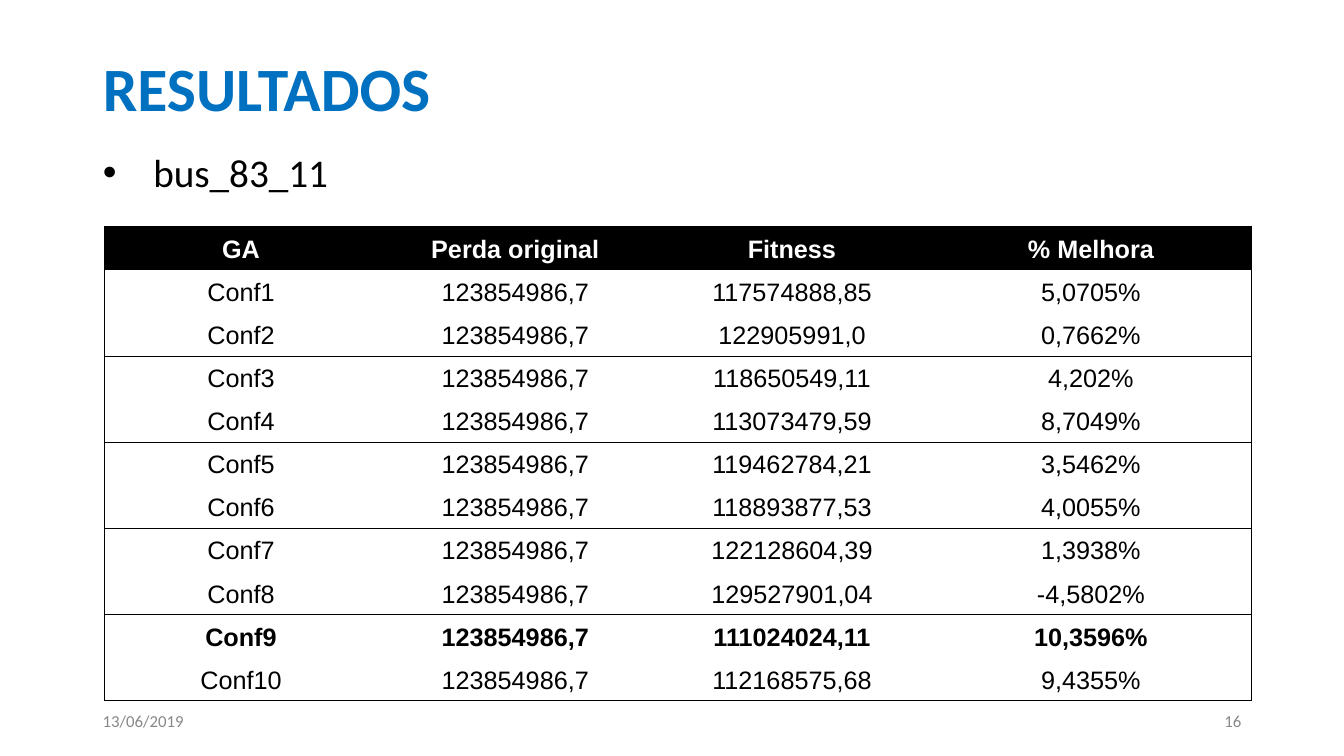
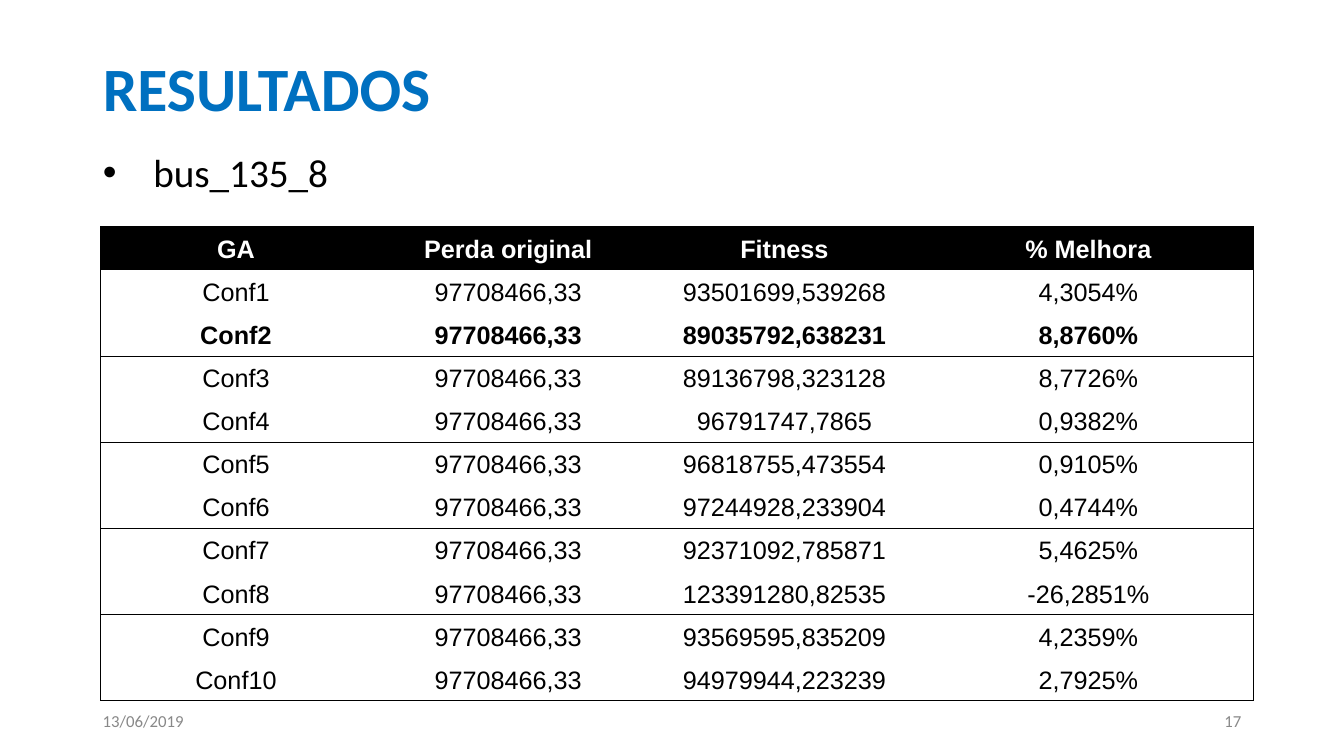
from lxml import etree
from pptx import Presentation, util as u
from pptx.dml.color import RGBColor
from pptx.enum import text as t
from pptx.oxml import ns

COLORS = {"title": "0070C0", "ink": "000000", "header_text": "FFFFFF", "footer": "888888"}
HEADINGS = ("GA", "Perda original", "Fitness", "% Melhora")
DATE = "13/06/2019"
TITLE_BOX = (0.92, 0.3, 11.5, 1.12)
SYSTEM_BOX = (0.92, 1.42, 11.5, 0.83)
DATE_BOX = (0.92, 6.95, 3.58, 0.4)
NUMBER_BOX = (8.83, 6.95, 3.58, 0.4)
TABLE_TOP, TABLE_HEIGHT = 2.25, 4.7

RESULTS = [
    {
        "number": 16, "system": "bus_83_11", "loss": "123854986,7", "best": 9,
        "left": 1.04, "widths": (2.7, 2.74, 2.75, 3.18),
        "runs": [
            ("117574888,85", "5,0705%"), ("122905991,0", "0,7662%"),
            ("118650549,11", "4,202%"), ("113073479,59", "8,7049%"),
            ("119462784,21", "3,5462%"), ("118893877,53", "4,0055%"),
            ("122128604,39", "1,3938%"), ("129527901,04", "-4,5802%"),
            ("111024024,11", "10,3596%"), ("112168575,68", "9,4355%"),
        ],
    },
    {
        "number": 17, "system": "bus_135_8", "loss": "97708466,33", "best": 2,
        "left": 1, "widths": (2.68, 2.72, 2.76, 3.27),
        "runs": [
            ("93501699,539268", "4,3054%"), ("89035792,638231", "8,8760%"),
            ("89136798,323128", "8,7726%"), ("96791747,7865", "0,9382%"),
            ("96818755,473554", "0,9105%"), ("97244928,233904", "0,4744%"),
            ("92371092,785871", "5,4625%"), ("123391280,82535", "-26,2851%"),
            ("93569595,835209", "4,2359%"), ("94979944,223239", "2,7925%"),
        ],
    },
]


def write(frame, content, size=18, font="Calibri", color="ink", bold=False,
          align=t.PP_ALIGN.LEFT, spacing=1.0):
    """Fill a text frame with one formatted paragraph and return it."""
    paragraph = frame.paragraphs[0]
    paragraph.alignment = align
    paragraph.line_spacing = spacing
    paragraph.space_before = u.Pt(0)
    run = paragraph.add_run()
    run.text = content
    run.font.size = u.Pt(size)
    run.font.name = font
    run.font.bold = bold
    run.font.color.rgb = RGBColor.from_string(COLORS[color])
    return paragraph


def place(shape, box, anchor=t.MSO_ANCHOR.MIDDLE):
    """Move a text shape into a box and return its frame."""
    shape.left, shape.top, shape.width, shape.height = map(u.Inches, box)
    frame = shape.text_frame
    frame.word_wrap = True
    frame.auto_size = t.MSO_AUTO_SIZE.NONE
    frame.vertical_anchor = anchor
    return frame


def add_bullet(paragraph, indent):
    """Give a paragraph a round bullet with a hanging indent."""
    properties = paragraph._p.get_or_add_pPr()
    properties.set("marL", str(u.Inches(indent)))
    properties.set("indent", str(-u.Inches(indent)))
    etree.SubElement(properties, ns.qn("a:buFont"), typeface="Arial")
    etree.SubElement(properties, ns.qn("a:buChar"), char="•")


def set_borders(cell, drawn):
    """Draw the cell sides named in drawn and clear the others."""
    properties = cell._tc.get_or_add_tcPr()
    for side in "LRTB":
        line = etree.SubElement(properties, ns.qn(f"a:ln{side}"), w=str(u.Pt(0.75)))
        if side in drawn:
            fill = etree.SubElement(line, ns.qn("a:solidFill"))
            etree.SubElement(fill, ns.qn("a:srgbClr"), val=COLORS["ink"])
        else:
            etree.SubElement(line, ns.qn("a:noFill"))


def cell_sides(row, column, last_row, last_column):
    """Return the ruled sides of a cell: outer frame, header and pairs of rows."""
    sides = {"L": column == 0, "R": column == last_column,
             "T": row == 0 or row % 2 == 1, "B": row % 2 == 0 or row == last_row}
    return {side for side, ruled in sides.items() if ruled}


def add_results_table(slide, result, top, height):
    """Place the table of configurations in the given vertical band."""
    rows = [HEADINGS] + [(f"Conf{i}", result["loss"], *run)
                         for i, run in enumerate(result["runs"], 1)]
    widths = result["widths"]
    table = slide.shapes.add_table(
        len(rows), len(widths), u.Inches(result["left"]), u.Inches(top),
        u.Inches(sum(widths)), u.Inches(height)).table
    table.horz_banding = False
    for column, width in zip(table.columns, widths):
        column.width = u.Inches(width)
    for r, values in enumerate(rows):
        table.rows[r].height = u.Inches(height / len(rows))
        header = r == 0
        side_inset, top_inset, bottom_inset = (0.09, 0.05, 0.05) if header else (0.01, 0.01, 0)
        for c, value in enumerate(values):
            cell = table.cell(r, c)
            set_borders(cell, cell_sides(r, c, len(rows) - 1, len(widths) - 1))
            if header:
                cell.fill.solid()
                cell.fill.fore_color.rgb = RGBColor.from_string(COLORS["ink"])
            else:
                cell.fill.background()
            cell.margin_left = cell.margin_right = u.Inches(side_inset)
            cell.margin_top = u.Inches(top_inset)
            cell.margin_bottom = u.Inches(bottom_inset)
            cell.vertical_anchor = t.MSO_ANCHOR.MIDDLE
            write(cell.text_frame, value, font="Arial", bold=header or r == result["best"],
                  color="header_text" if header else "ink",
                  align=t.PP_ALIGN.CENTER, spacing=1.07)


def add_footer(slide, content, box, align):
    """Write one small grey footer entry in its box."""
    entry = slide.shapes.add_textbox(*map(u.Inches, box))
    write(place(entry, box), content, size=12, color="footer", align=align)


def add_results_slide(deck, result):
    """Build one results slide."""
    slide = deck.slides.add_slide(deck.slide_layouts[1])
    title, system = slide.shapes.title, slide.placeholders[1]
    write(place(title, TITLE_BOX), "RESULTADOS", size=44, color="title", bold=True)
    add_footer(slide, DATE, DATE_BOX, t.PP_ALIGN.LEFT)
    add_footer(slide, str(result["number"]), NUMBER_BOX, t.PP_ALIGN.RIGHT)
    name = write(place(system, SYSTEM_BOX, t.MSO_ANCHOR.TOP), result["system"],
                 size=28, align=t.PP_ALIGN.JUSTIFY)
    add_bullet(name, 0.5)
    add_results_table(slide, result, TABLE_TOP, TABLE_HEIGHT)


def main():
    """Build and save the deck."""
    deck = Presentation()
    deck.slide_width, deck.slide_height = u.Inches(13.33), u.Inches(7.5)
    for result in RESULTS:
        add_results_slide(deck, result)
    deck.save("out.pptx")


if __name__ == "__main__":
    main()
